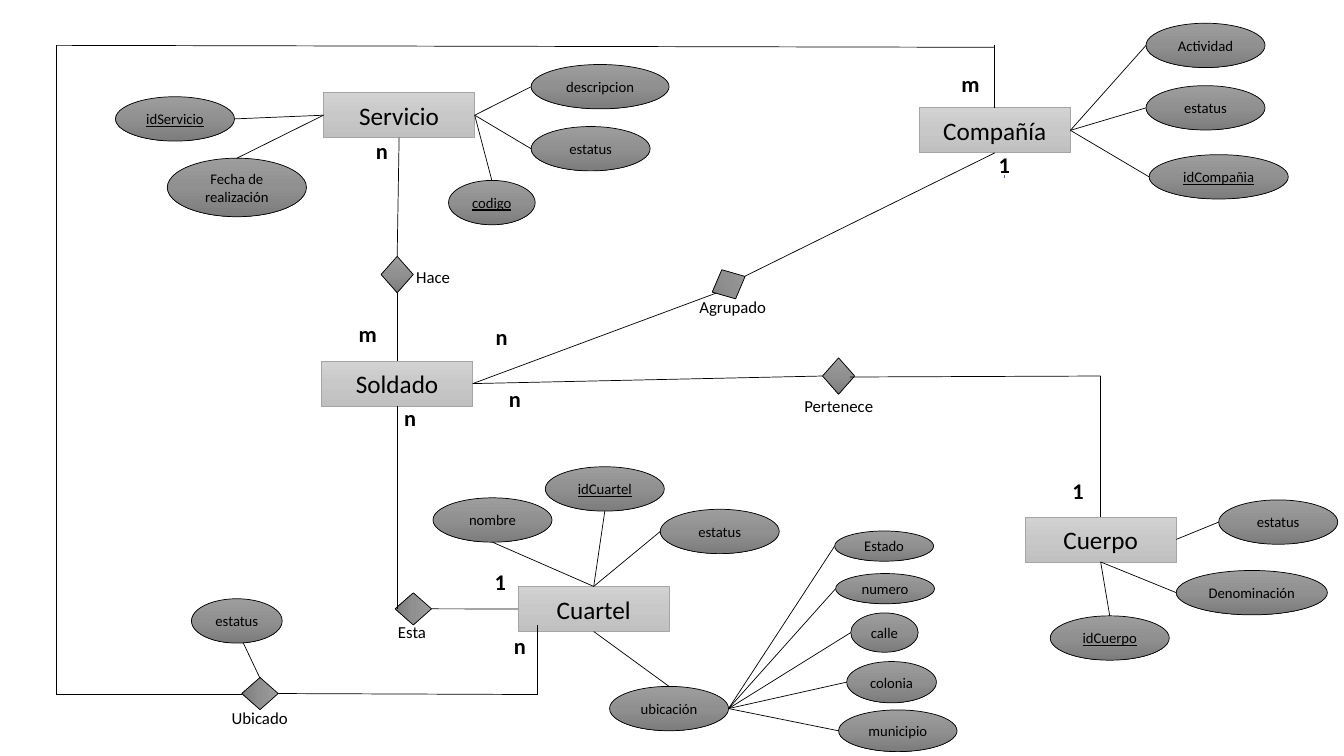
from copy import deepcopy
from dataclasses import dataclass
from typing import NamedTuple, Union

from lxml import etree
from pptx import Presentation
from pptx.dml.color import RGBColor
from pptx.enum.shapes import MSO_CONNECTOR, MSO_SHAPE
from pptx.enum.text import MSO_ANCHOR, MSO_AUTO_SIZE, PP_ALIGN
from pptx.oxml.ns import qn
from pptx.shapes.autoshape import Shape
from pptx.text.text import TextFrame
from pptx.util import Pt

RECTANGLE, OVAL, DIAMOND = MSO_SHAPE.RECTANGLE, MSO_SHAPE.OVAL, MSO_SHAPE.DIAMOND
STRAIGHT = MSO_CONNECTOR.STRAIGHT
MIDDLE, CENTER, LEFT_ALIGN = MSO_ANCHOR.MIDDLE, PP_ALIGN.CENTER, PP_ALIGN.LEFT
FIT = MSO_AUTO_SIZE.SHAPE_TO_FIT_TEXT
TOP, LEFT, BOTTOM, RIGHT = range(4)

BLACK = RGBColor(0x00, 0x00, 0x00)
ENTITY_EDGE = RGBColor(0xA5, 0xA5, 0xA5)
BLUE = RGBColor(0x44, 0x72, 0xC4)
LIGHT_GREYS = (RGBColor(0xD2, 0xD2, 0xD2), RGBColor(0xC8, 0xC8, 0xC8), RGBColor(0xC0, 0xC0, 0xC0))
DARK_GREYS = (RGBColor(0x9D, 0x9D, 0x9D), RGBColor(0x90, 0x90, 0x90), RGBColor(0x7C, 0x7C, 0x7C))

FONT = "Calibri"
ENTITY_W, ENTITY_H = 108, 32.2
DIAMOND_W, DIAMOND_H = 23, 26


class Point(NamedTuple):
    x: float
    y: float


class Joint(NamedTuple):
    node: str
    side: int


End = Union[Point, Joint]


@dataclass
class Entity:
    name: str
    x: float
    y: float


@dataclass
class Relationship:
    name: str
    x: float
    y: float
    label_x: float
    label_y: float
    label_w: float
    rotation: float = 0


@dataclass
class Attribute:
    name: str
    x: float
    y: float
    owner: str
    owner_side: int
    side: int
    w: float = 85
    h: float = 31.7
    key: bool = False


@dataclass
class Cardinality:
    text: str
    x: float
    y: float
    w: float = 23
    wrap: bool = False


ENTITIES = [
    Entity("Soldado", 229.7, 257.9),
    Entity("Servicio", 231.1, 66.2),
    Entity("Compañía", 656.6, 77),
    Entity("Cuerpo", 732.2, 369.2),
    Entity("Cuartel", 370.1, 418.9),
]
RELATIONSHIPS = [
    Relationship("Hace", 272.2, 183.1, 290.2, 187.2, 38.9),
    Relationship("Agrupado", 509, 190.1, 492.5, 208.1, 62.6, 64.5),
    Relationship("Pertenece", 587.5, 255.6, 567.4, 279.4, 64.1),
    Relationship("Esta", 283.7, 421.9, 277.2, 440.6, 34.6, 90),
    Relationship("Ubicado", 174.2, 482.4, 158.4, 501.8, 55.4, 90),
]
LINKS: list[tuple[End, End]] = [
    (Joint("Servicio", BOTTOM), Joint("Hace", TOP)),
    (Joint("Hace", BOTTOM), Joint("Soldado", TOP)),
    (Joint("Soldado", RIGHT), Point(511.2, 209.5)),
    (Point(532.1, 197.3), Joint("Compañía", BOTTOM)),
    (Joint("Soldado", RIGHT), Joint("Pertenece", LEFT)),
    (Point(607, 269.3), Point(786.2, 268.6)),
    (Point(786.2, 268.6), Joint("Cuerpo", TOP)),
    (Joint("Soldado", BOTTOM), Point(283.7, 434.9)),
    (Point(308.2, 434.9), Joint("Cuartel", LEFT)),
    (Joint("Compañía", TOP), Point(710.6, 32.4)),
    (Point(710.6, 33.8), Point(40.3, 32.4)),
    (Point(40.3, 32.4), Point(40.3, 496.1)),
    (Point(40.3, 496.1), Point(172.8, 496.1)),
    (Point(198.7, 495.4), Point(383.8, 496.1)),
    (Point(383.8, 496.1), Point(383.8, 446.4)),
    (Point(185.8, 484.6), Point(172.8, 457.2)),
]
UBICACION = "Cuartel.ubicación"
ATTRIBUTES = [
    Attribute("Actividad", 818.6, 16.6, "Compañía", RIGHT, LEFT),
    Attribute("estatus", 818.6, 61.2, "Compañía", RIGHT, LEFT),
    Attribute("idCompañia", 820.8, 110.5, "Compañía", RIGHT, LEFT, w=99.4, key=True),
    Attribute("idCuerpo", 750.2, 439.9, "Cuerpo", BOTTOM, TOP, key=True),
    Attribute("estatus", 870.5, 357.1, "Cuerpo", RIGHT, LEFT),
    Attribute("Denominación", 840.2, 407.5, "Cuerpo", BOTTOM, LEFT, w=108),
    Attribute("descripcion", 379.4, 46.1, "Servicio", RIGHT, LEFT, w=98.6),
    Attribute("estatus", 379.4, 90.4, "Servicio", RIGHT, LEFT),
    Attribute("codigo", 320.4, 128.9, "Servicio", RIGHT, TOP, w=61.9, key=True),
    Attribute("idServicio", 82.5, 69.1, "Servicio", LEFT, RIGHT, key=True),
    Attribute("Fecha de realización", 119.5, 113, "Servicio", LEFT, TOP, w=99.4, h=41.8),
    Attribute("idCuartel", 389.5, 333.4, "Cuartel", TOP, BOTTOM, key=True),
    Attribute("estatus", 471.6, 363.8, "Cuartel", TOP, LEFT),
    Attribute("nombre", 309.3, 355.6, "Cuartel", TOP, BOTTOM),
    Attribute("ubicación", 435.4, 490.3, "Cuartel", BOTTOM, TOP),
    Attribute("Estado", 596.2, 379.3, UBICACION, RIGHT, LEFT, w=70.6, h=21.6),
    Attribute("numero", 596.9, 409.7, UBICACION, RIGHT, LEFT, w=70.6, h=21.6),
    Attribute("calle", 607.7, 437.8, UBICACION, RIGHT, LEFT, w=48.2, h=28.1),
    Attribute("colonia", 604.8, 472.5, UBICACION, RIGHT, LEFT, w=64.1, h=29.5),
    Attribute("municipio", 599, 507.1, UBICACION, RIGHT, LEFT, w=84.6, h=29.8),
]
CARDINALITIES = [
    Cardinality("n", 261.4, 94.3, w=27.4, wrap=True),
    Cardinality("m", 249.1, 225.4, w=27.4),
    Cardinality("n", 347, 227.5),
    Cardinality("n", 356.4, 271.4),
    Cardinality("n", 281.5, 285.1),
    Cardinality("1", 346.3, 402.5),
    Cardinality("1", 758.9, 337),
    Cardinality("1", 706.3, 104.4),
    Cardinality("n", 360, 447.8),
    Cardinality("m", 679.7, 46.8, w=27.4),
]

prs = Presentation()
prs.slide_width, prs.slide_height = Pt(960), Pt(540)
slide = prs.slides.add_slide(prs.slide_layouts[6])
nodes: dict[str, Shape] = {}


def write(frame: TextFrame, text: str, *, size: float, bold: bool = False,
          underline: bool = False, align: PP_ALIGN = CENTER, wrap: bool = True) -> None:
    frame.word_wrap = wrap
    paragraph = frame.paragraphs[0]
    paragraph.alignment = align
    run = paragraph.add_run()
    run.text = text
    font = run.font
    font.name, font.size, font.color.rgb = FONT, Pt(size), BLACK
    font.bold, font.underline = bold, underline


def add_node(kind: MSO_SHAPE, x: float, y: float, w: float, h: float,
             greys: tuple[RGBColor, ...] = DARK_GREYS, edge: RGBColor = BLACK) -> Shape:
    node = slide.shapes.add_shape(kind, Pt(x), Pt(y), Pt(w), Pt(h))
    node.shadow.inherit = False
    node.line.color.rgb, node.line.width = edge, Pt(0.5)
    node.text_frame.vertical_anchor = MIDDLE
    node.fill.gradient()
    node.fill.gradient_angle = 270
    # Middle gradient stop
    stops = node.element.spPr.find(".//" + qn("a:gsLst"))
    stops.insert(1, deepcopy(stops[0]))
    stops[1].set("pos", "50000")
    for stop, grey in zip(node.fill.gradient_stops, greys):
        stop.color.rgb = grey
    return node


def add_label(text: str, x: float, y: float, w: float, h: float, *, size: float,
              bold: bool = False, wrap: bool = False) -> None:
    frame = slide.shapes.add_textbox(Pt(x), Pt(y), Pt(w), Pt(h)).text_frame
    frame.auto_size = FIT
    write(frame, text, size=size, bold=bold, align=LEFT_ALIGN, wrap=wrap)


def locate(end: End) -> Point:
    if isinstance(end, Point):
        return end
    node = nodes[end.node]
    across, down = ((0.5, 0), (0, 0.5), (0.5, 1), (1, 0.5))[end.side]
    return Point((node.left + across * node.width) / Pt(1), (node.top + down * node.height) / Pt(1))


def add_link(begin: End, finish: End, color: RGBColor = BLACK) -> None:
    a, b = locate(begin), locate(finish)
    link = slide.shapes.add_connector(STRAIGHT, Pt(a.x), Pt(a.y), Pt(b.x), Pt(b.y))
    link.line.color.rgb, link.line.width = color, Pt(0.5)
    etree.SubElement(link.element.spPr, qn("a:effectLst"))
    for end, connect in ((begin, link.begin_connect), (finish, link.end_connect)):
        if isinstance(end, Joint) and nodes[end.node].auto_shape_type != OVAL:
            connect(nodes[end.node], end.side)


# Entities
for entity in ENTITIES:
    box = add_node(RECTANGLE, entity.x, entity.y, ENTITY_W, ENTITY_H, LIGHT_GREYS, ENTITY_EDGE)
    write(box.text_frame, entity.name, size=18)
    nodes[entity.name] = box

# Relationships and their links
for relation in RELATIONSHIPS:
    rhombus = add_node(DIAMOND, relation.x, relation.y, DIAMOND_W, DIAMOND_H)
    rhombus.rotation = relation.rotation
    nodes[relation.name] = rhombus
    add_label(relation.name, relation.label_x, relation.label_y, relation.label_w, 21.6, size=12)
for link_begin, link_finish in LINKS:
    add_link(link_begin, link_finish)
add_link(Point(717.1, 125.3), Point(717.1, 127.4), BLUE)

# Attributes, each linked to its owner
ubicado_status = add_node(OVAL, 136.8, 427.7, 64.8, 31.7)
write(ubicado_status.text_frame, "estatus", size=10.5)
for attribute in ATTRIBUTES:
    ellipse = add_node(OVAL, attribute.x, attribute.y, attribute.w, attribute.h)
    write(ellipse.text_frame, attribute.name, size=10.5, underline=attribute.key)
    node_name = f"{attribute.owner}.{attribute.name}"
    nodes[node_name] = ellipse
    add_link(Joint(attribute.owner, attribute.owner_side), Joint(node_name, attribute.side))

# Cardinalities
for mark in CARDINALITIES:
    add_label(mark.text, mark.x, mark.y, mark.w, 26.6, size=16, bold=True, wrap=mark.wrap)

prs.save("out.pptx")
